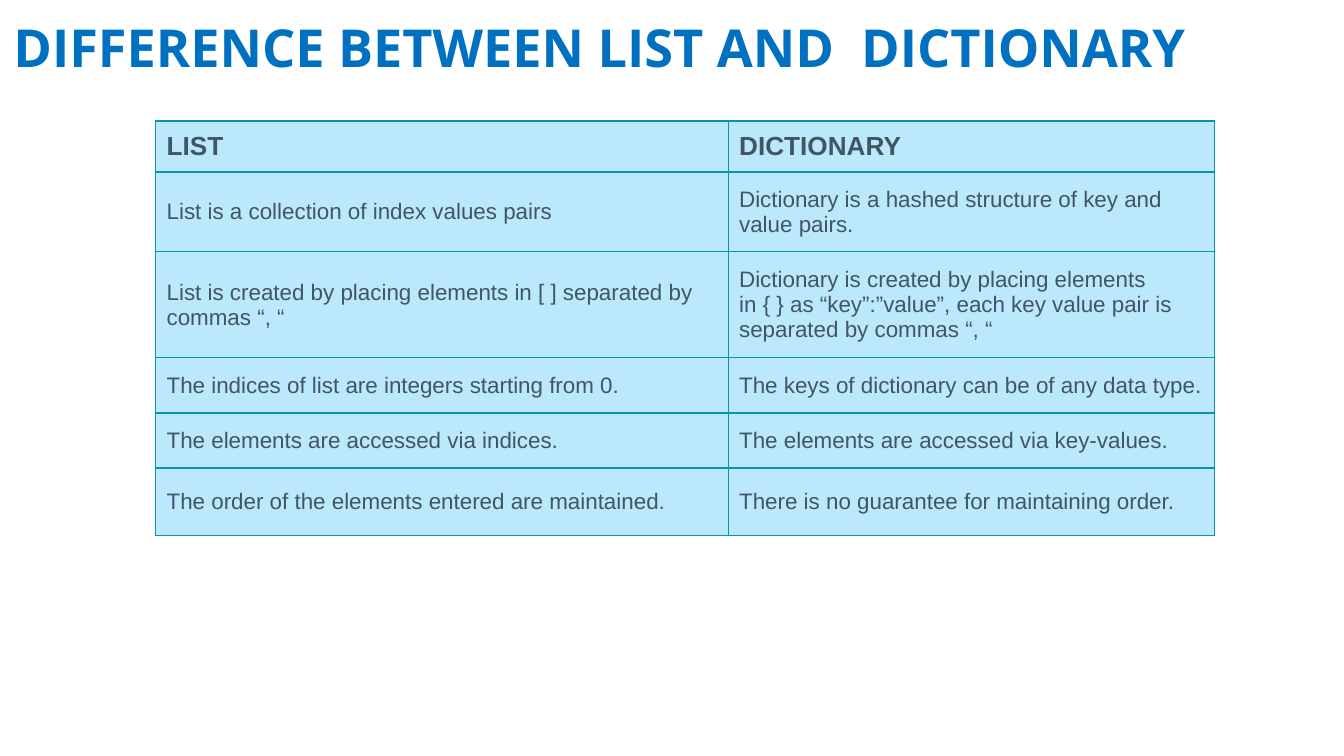
from lxml import etree
from pptx import Presentation
from pptx.dml.color import RGBColor
from pptx.enum.text import MSO_ANCHOR, MSO_AUTO_SIZE, PP_ALIGN
from pptx.oxml.ns import qn
from pptx.util import Inches, Pt

MIDDLE, BOTTOM = MSO_ANCHOR.MIDDLE, MSO_ANCHOR.BOTTOM
NO_FIT = MSO_AUTO_SIZE.NONE
LEFT = PP_ALIGN.LEFT
COLORS = {"title": "0070C0", "text": "415665", "cell": "BBE8FB", "border": "0694B0"}
TITLE_FONT, TABLE_FONT = "Open Sans", "Arial"
HARD_SPACE = chr(160)
COLUMN_WIDTHS = [4.26, 3.62]
ROW_HEIGHTS = [0.38, 0.59, 0.79, 0.41, 0.41, 0.5]
ROWS = [
    ("LIST", "DICTIONARY"),
    ("List is a collection of index values pairs",
     f"Dictionary is a hashed structure of{HARD_SPACE}key and value{HARD_SPACE}pairs."),
    (f"List is created by placing elements in{HARD_SPACE}[ ]{HARD_SPACE}separated by commas “, “",
     f"Dictionary is created by placing elements in{HARD_SPACE}{{ }}{HARD_SPACE}as “key”:”value”, "
     "each key value pair is separated by commas “, “"),
    ("The indices of list are integers starting from 0.",
     "The keys of dictionary can be of any data type."),
    ("The elements are accessed via indices.",
     "The elements are accessed via key-values."),
    ("The order of the elements entered are maintained.",
     "There is no guarantee for maintaining order."),
]


def format_text(frame, name, size, color, bold):
    para = frame.paragraphs[0]
    para.alignment = LEFT
    for span in para.runs:
        span.font.name = name
        span.font.size = Pt(size)
        span.font.bold = bold
        span.font.color.rgb = RGBColor.from_string(COLORS[color])


def add_borders(cell):
    properties = cell._tc.get_or_add_tcPr()
    for index, side in enumerate(("a:lnL", "a:lnR", "a:lnT", "a:lnB")):
        line = etree.Element(qn(side), w=str(Pt(0.75)))
        fill = etree.SubElement(line, qn("a:solidFill"))
        etree.SubElement(fill, qn("a:srgbClr"), val=COLORS["border"])
        properties.insert(index, line)


deck = Presentation()
deck.slide_width = Inches(10)
deck.slide_height = Inches(10 * 9 / 16)
page = deck.slides.add_slide(deck.slide_layouts[5])

title = page.shapes.title
title.left, title.top = Inches(0), Inches(0)
title.width, title.height = Inches(10.77), Inches(0.68)
frame = title.text_frame
frame.text = "DIFFERENCE BETWEEN LIST AND  DICTIONARY"
frame.auto_size = NO_FIT
frame.word_wrap = True
frame.vertical_anchor = BOTTOM
frame.margin_left = frame.margin_right = Inches(0.1)
frame.margin_top = frame.margin_bottom = Inches(0.1)
format_text(frame, TITLE_FONT, 28, "title", True)

table = page.shapes.add_table(
    len(ROWS), len(COLUMN_WIDTHS), Inches(1.16), Inches(0.9),
    Inches(sum(COLUMN_WIDTHS)), Inches(sum(ROW_HEIGHTS))).table
table.horz_banding = False
for column, width in zip(table.columns, COLUMN_WIDTHS):
    column.width = Inches(width)
for row_index, (row, height, texts) in enumerate(zip(table.rows, ROW_HEIGHTS, ROWS)):
    row.height = Inches(height)
    header = row_index == 0
    for cell, text in zip(row.cells, texts):
        cell.text = text
        cell.vertical_anchor = MIDDLE
        cell.margin_left = cell.margin_right = Inches(0.08)
        cell.margin_top = cell.margin_bottom = Inches(0.08 if header else 0.11)
        cell.fill.solid()
        cell.fill.fore_color.rgb = RGBColor.from_string(COLORS["cell"])
        format_text(cell.text_frame, TABLE_FONT, 14 if header else 12, "text", header)
        add_borders(cell)

deck.save("out.pptx")
